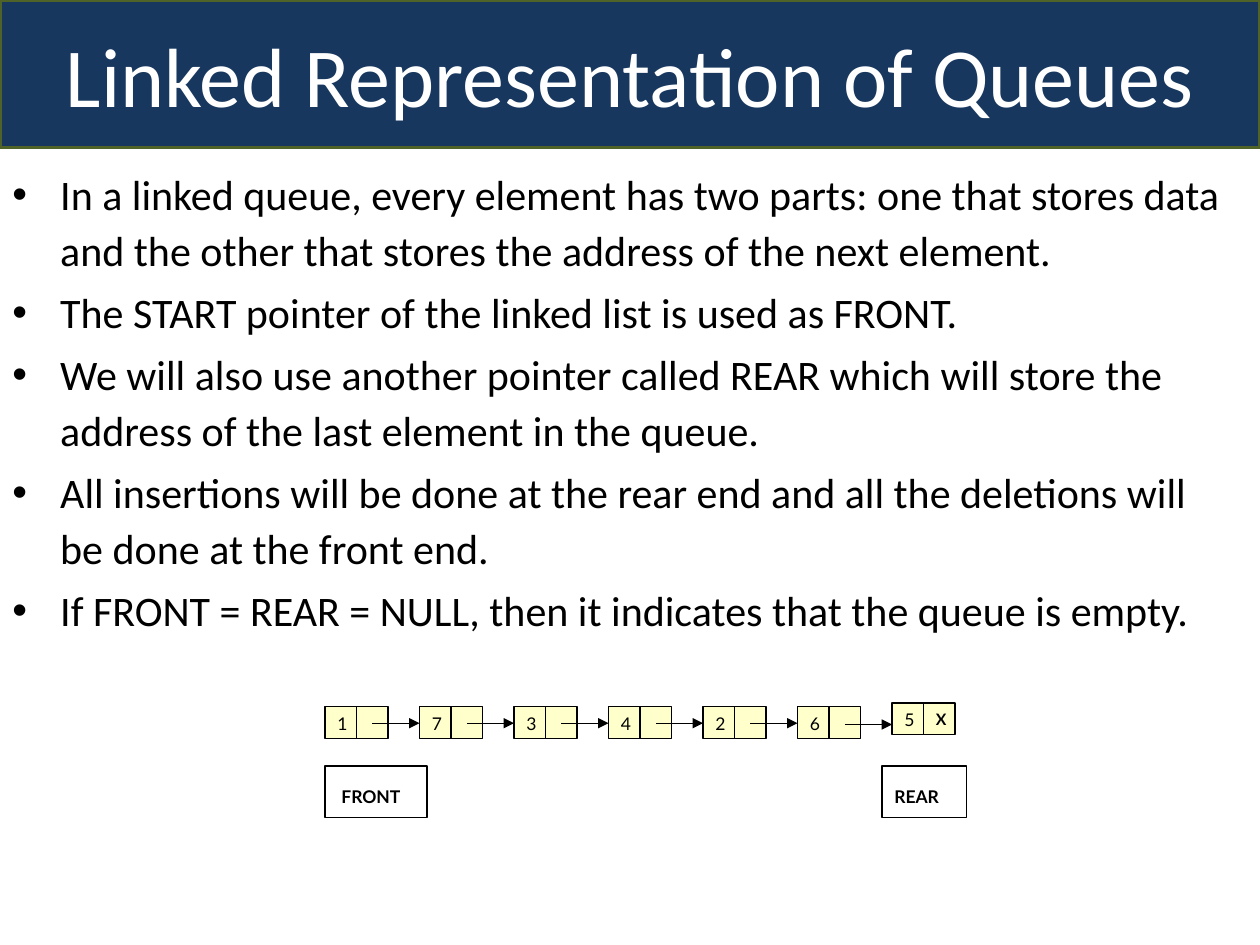
"""Build a slide that explains the linked representation of queues."""
from dataclasses import dataclass

from lxml.etree import SubElement
from pptx import Presentation
from pptx.dml.color import RGBColor
from pptx.enum.shapes import MSO_CONNECTOR as Connector, MSO_SHAPE as Shape
from pptx.enum.text import MSO_ANCHOR as Anchor, PP_ALIGN as Align
from pptx.oxml.ns import qn
from pptx.util import Inches, Pt

NAVY = RGBColor(0x17, 0x37, 0x5E)
OLIVE = RGBColor(0x4F, 0x62, 0x28)
CREAM = RGBColor(0xFF, 0xFF, 0xCC)
WHITE = RGBColor(0xFF, 0xFF, 0xFF)
BLACK = RGBColor(0, 0, 0)

CELL = 0.25
NODE_PITCH = 0.75
FIRST_LEFT = 2.58
NODE_TOP = 5.61
THIN = 0.75

POINTS = [
    "In a linked queue, every element has two parts: one that stores data "
    "and the other that stores the address of the next element.",
    "The START pointer of the linked list is used as FRONT.",
    "We will also use another pointer called REAR which will store the "
    "address of the last element in the queue.",
    "All insertions will be done at the rear end and all the deletions will "
    "be done at the front end.",
    "If FRONT = REAR = NULL, then it indicates that the queue is empty.",
]


@dataclass
class Node:
    value: str
    link: str = ""
    top: float = NODE_TOP
    arrow_y: float = 5.74


@dataclass
class Label:
    text: str
    left: float
    width: float
    inset: float


NODES = [Node(value) for value in "17342"] + [
    Node("6", arrow_y=5.75),
    Node("5", link="X", top=5.58),
]
LABELS = [Label("FRONT", FIRST_LEFT, 0.81, 0.13), Label("REAR", 7, 0.67, 0.1)]


def style_text(para, size: float, name: str, color: RGBColor, bold: bool = False) -> None:
    font = para.font
    font.size, font.name, font.bold = Pt(size), name, bold
    font.color.rgb = color


def add_box(page, left: float, top: float, width: float, height: float,
            fill: RGBColor | None = None, line: RGBColor = BLACK,
            weight: float = THIN, kind: Shape = Shape.RECTANGLE):
    box = page.shapes.add_shape(kind, Inches(left), Inches(top), Inches(width), Inches(height))
    box.shadow.inherit = False
    if fill is None:
        box.fill.background()
    else:
        box.fill.solid()
        box.fill.fore_color.rgb = fill
    box.line.color.rgb = line
    box.line.width = Pt(weight)
    return box


def add_title(page, text: str) -> None:
    banner = add_box(page, 0, 0, 10, 1.17, NAVY, OLIVE, 2, Shape.ROUNDED_RECTANGLE)
    banner.adjustments[0] = 0
    frame = banner.text_frame
    frame.vertical_anchor = Anchor.MIDDLE
    para = frame.paragraphs[0]
    para.text = text
    para.alignment = Align.CENTER
    style_text(para, 48, "Calibri", WHITE)


def add_points(page, points: list[str]) -> None:
    box = page.shapes.add_textbox(Inches(0), Inches(1.25), Inches(9.83), Inches(2.25))
    frame = box.text_frame
    frame.word_wrap = True
    for index, point in enumerate(points):
        para = frame.paragraphs[0] if index == 0 else frame.add_paragraph()
        para.text = point
        para.line_spacing = 1.1
        if index:
            para.space_before = Pt(4)
        props = para._p.get_or_add_pPr()
        props.set("marL", str(Inches(0.38)))
        props.set("indent", str(Inches(-0.38)))
        SubElement(props, qn("a:buFont"), typeface="Arial")
        SubElement(props, qn("a:buChar"), char="•")
        style_text(para, 24, "Calibri", BLACK)


def add_cell(page, left: float, top: float, text: str, size: float, bold: bool) -> None:
    cell = add_box(page, left, top, CELL, CELL, CREAM)
    if text:
        frame = cell.text_frame
        frame.vertical_anchor = Anchor.TOP
        para = frame.paragraphs[0]
        para.text = text
        para.alignment = Align.LEFT
        style_text(para, size, "Lato", BLACK, bold)


def add_arrow(page, start: float, end: float, y: float) -> None:
    arrow = page.shapes.add_connector(
        Connector.STRAIGHT, Inches(start), Inches(y), Inches(end), Inches(y))
    arrow.line.color.rgb = BLACK
    arrow.line.width = Pt(THIN)
    SubElement(arrow.line._get_or_add_ln(), qn("a:tailEnd"), type="triangle")
    SubElement(arrow._element.spPr, qn("a:effectLst"))


def add_queue(page, nodes: list[Node]) -> None:
    for index, node in enumerate(nodes):
        left = FIRST_LEFT + index * NODE_PITCH
        add_cell(page, left, node.top, node.value, 10, False)
        add_cell(page, left + CELL, node.top, node.link, 9, True)
        if index < len(nodes) - 1:
            add_arrow(page, left + 1.5 * CELL, left + NODE_PITCH, node.arrow_y)


def add_label(page, label: Label) -> None:
    box = add_box(page, label.left, 6.08, label.width, 0.41)
    frame = box.text_frame
    frame.word_wrap = True
    frame.vertical_anchor = Anchor.MIDDLE
    frame.margin_left = Inches(label.inset)
    frame.margin_top = Inches(0.13)
    para = frame.paragraphs[0]
    para.text = label.text
    para.alignment = Align.LEFT
    style_text(para, 10, "Lato", BLACK, True)


def main() -> None:
    deck = Presentation()
    deck.slide_width, deck.slide_height = Inches(10), Inches(7.5)
    page = deck.slides.add_slide(deck.slide_layouts[6])
    add_title(page, "Linked Representation of Queues")
    add_points(page, POINTS)
    add_queue(page, NODES)
    for label in LABELS:
        add_label(page, label)
    deck.save("out.pptx")


if __name__ == "__main__":
    main()
